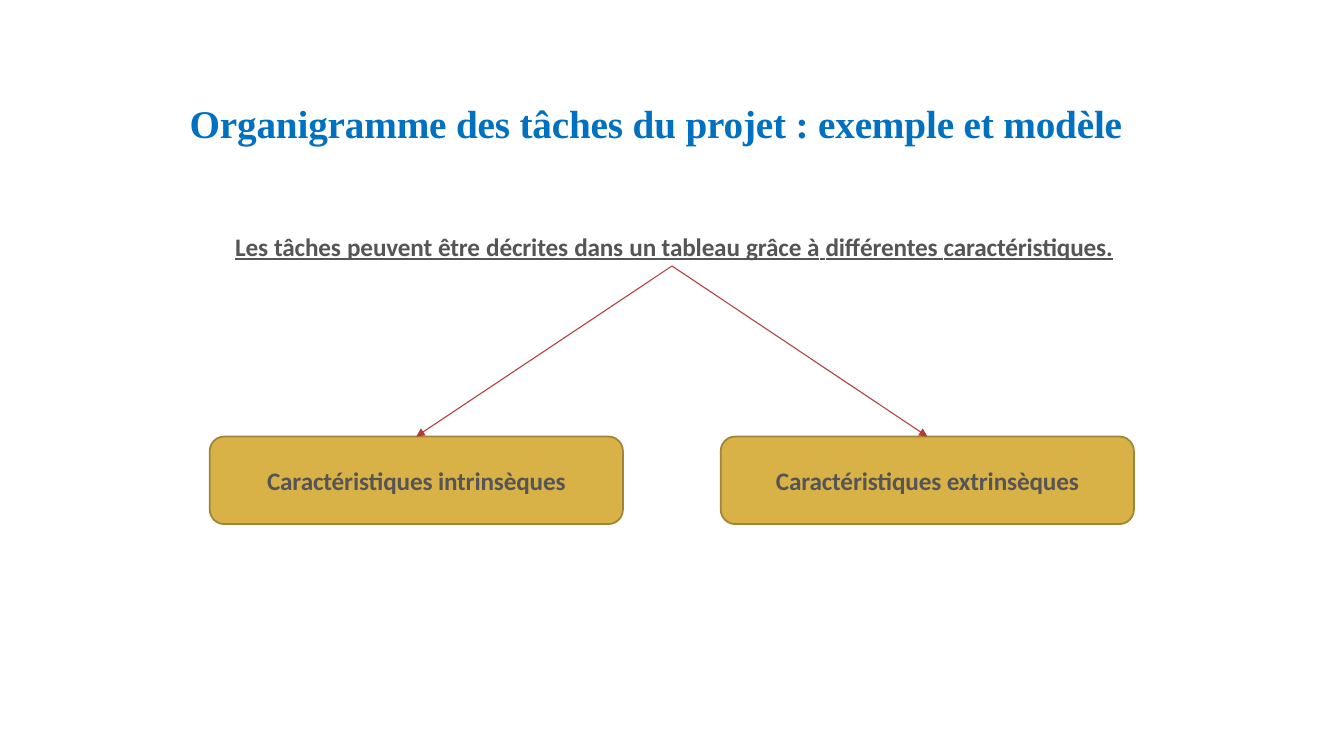
from dataclasses import dataclass

from pptx import Presentation
from pptx import util as u
from pptx.dml.color import RGBColor
from pptx.enum import shapes, text
from pptx.oxml import parse_xml
from pptx.oxml.ns import nsdecls


@dataclass(frozen=True)
class Theme:
    blue: str = "0070C0"
    grey: str = "555555"
    gold: str = "D9B247"
    edge: str = "A18435"
    red: str = "B53A31"
    serif: str = "Times New Roman"
    sans: str = "Calibri"
    head: float = 28
    body: float = 18
    tight: float = -0.1


class Board:
    """Draws styled elements on the current slide, with lengths in points."""

    def __init__(self, slide, theme):
        self.slide = slide
        self.theme = theme

    def run(self, para, words, color, font, size, space, under=None):
        run = para.add_run()
        run.text = words
        face = run.font
        face.name, face.size, face.bold = font, u.Pt(size), True
        face.underline = under
        face.color.rgb = RGBColor.from_string(color)
        face._element.set("spc", str(round(space * 100)))

    def label(self, left, top, width, height):
        box = self.slide.shapes.add_textbox(*map(u.Pt, (left, top, width, height)))
        frame = box.text_frame
        frame.word_wrap = True
        frame.auto_size = text.MSO_AUTO_SIZE.SHAPE_TO_FIT_TEXT
        para = frame.paragraphs[0]
        para.space_before = u.Pt(8.7)
        para._p.get_or_add_pPr().set("marL", str(u.Pt(0.9)))
        return para

    def title(self, words, *area):
        look = self.theme
        self.run(self.label(*area), words, look.blue, look.serif, look.head, look.tight)

    def claim(self, parts, *area):
        look = self.theme
        para = self.label(*area)
        for words, gap in parts:
            self.run(para, words, look.grey, look.sans, look.body, look.tight, True)
            if gap is not None:
                self.run(para, " ", look.grey, look.sans, look.body, gap, True)

    def card(self, words, left, top, width, height):
        look = self.theme
        kind = shapes.MSO_SHAPE.ROUNDED_RECTANGLE
        card = self.slide.shapes.add_shape(kind, *map(u.Pt, (left, top, width, height)))
        card.shadow.inherit = False
        card.fill.solid()
        card.fill.fore_color.rgb = RGBColor.from_string(look.gold)
        card.line.color.rgb = RGBColor.from_string(look.edge)
        card.line.width = u.Pt(1.25)
        frame = card.text_frame
        frame.word_wrap = True
        frame.vertical_anchor = text.MSO_ANCHOR.MIDDLE
        para = frame.paragraphs[0]
        para.alignment = text.PP_ALIGN.CENTER
        self.run(para, words, look.grey, look.sans, look.body, look.tight)

    def arrow(self, *ends):
        kind = shapes.MSO_CONNECTOR.STRAIGHT
        arrow = self.slide.shapes.add_connector(kind, *map(u.Pt, ends))
        arrow.line.color.rgb = RGBColor.from_string(self.theme.red)
        arrow.line.width = u.Pt(0.75)
        arrow.line._get_or_add_ln().append(
            parse_xml(f'<a:tailEnd {nsdecls("a")} type="triangle"/>'))
        arrow._element.spPr.append(parse_xml(f'<a:effectLst {nsdecls("a")}/>'))


def main():
    deck = Presentation()
    deck.slide_width, deck.slide_height = u.Pt(960), u.Pt(540)
    board = Board(deck.slides.add_slide(deck.slide_layouts[6]), Theme())

    claim = [("Les", 0.1), ("tâches", 0.3), ("peuvent", -0.6), ("être", 0.2),
             ("décrites", 0.3), ("dans", 0.3), ("un tableau", 0.2), ("grâce", 0),
             ("à", 0.2), ("différentes", 0.1), ("caractéristiques.", None)]
    board.claim(claim, 160, 161.5, 764.5, 29)

    left, top, width, height, pitch = 149.8, 311.8, 295.2, 62.6, 365
    for col, kind in enumerate(("intrinsèques", "extrinsèques")):
        side = left + col * pitch
        board.card(f"Caractéristiques {kind}", side, top, width, height)
        board.arrow(480, 190, side + width / 2, top)

    board.title("Organigramme des tâches du projet : exemple et modèle",
                127.5, 67.7, 720, 41)
    deck.save("out.pptx")


if __name__ == "__main__":
    main()
